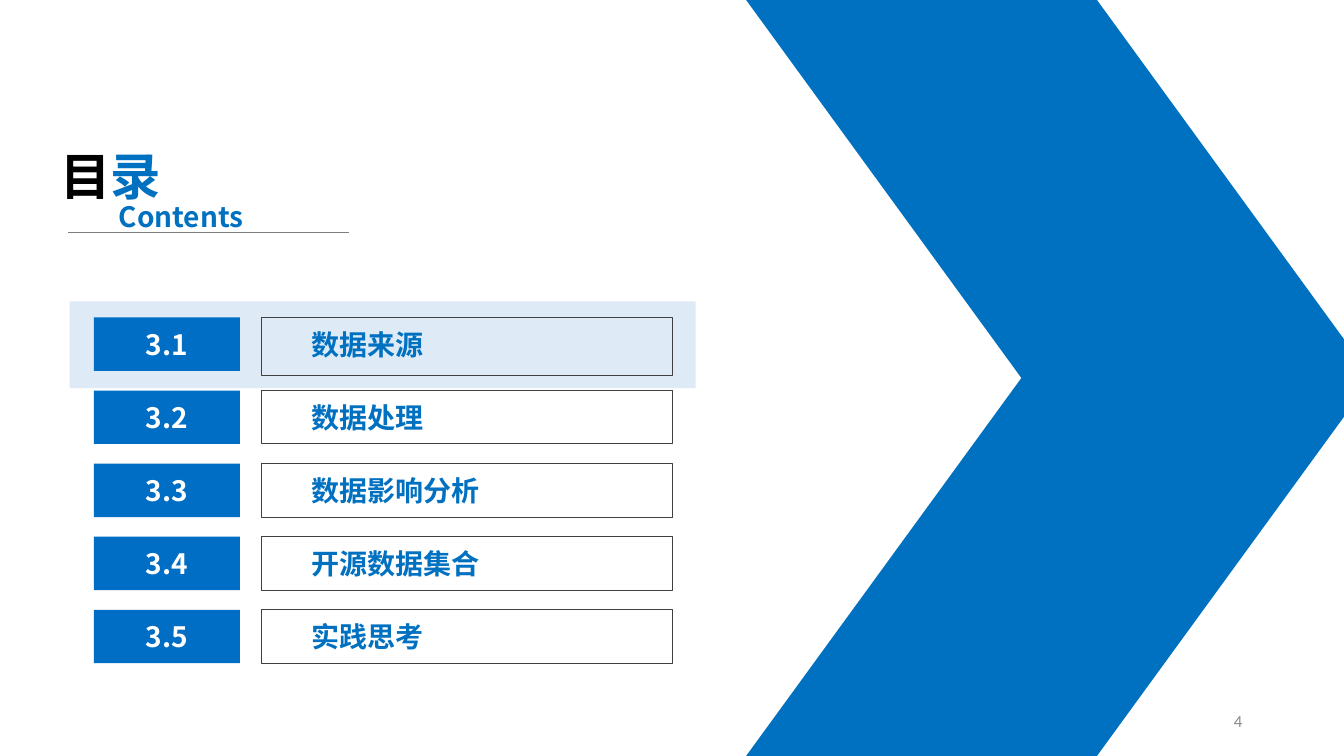
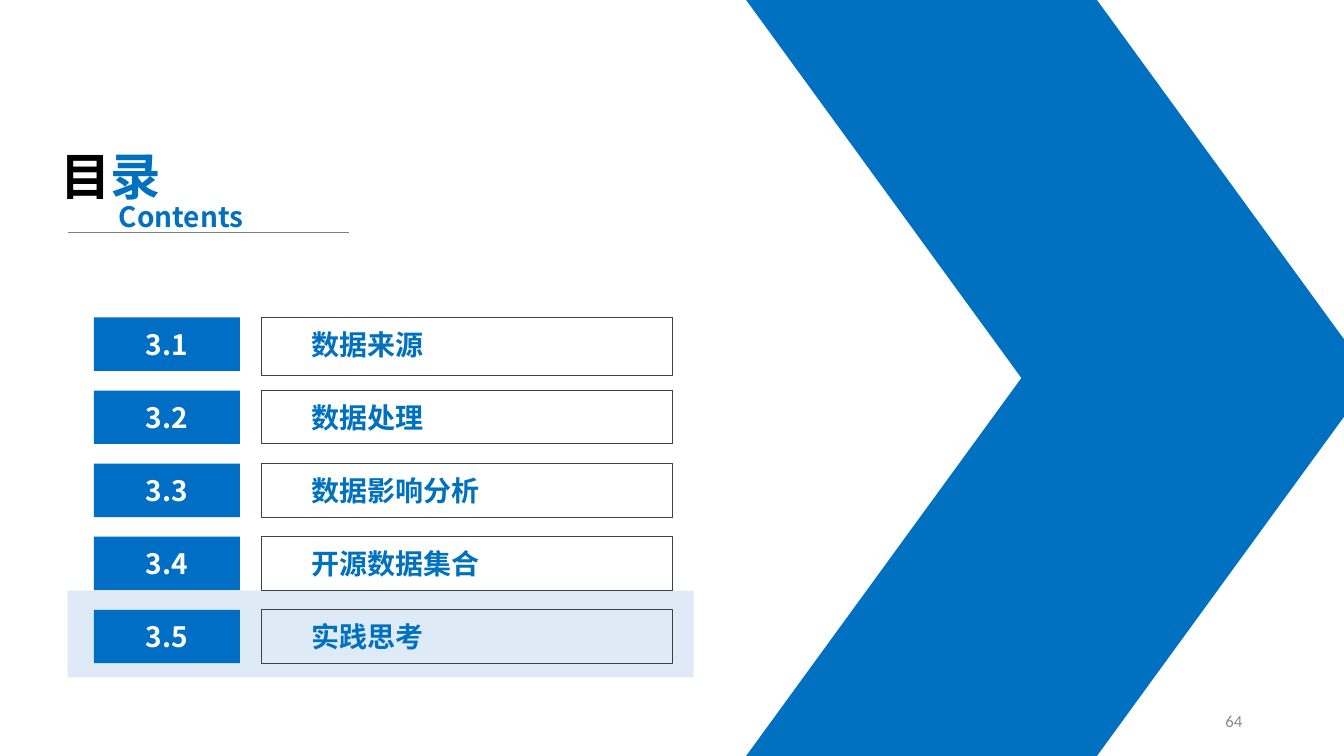
from lxml.etree import SubElement
from pptx import Presentation
from pptx.dml.color import RGBColor
from pptx.enum.shapes import MSO_CONNECTOR, MSO_SHAPE
from pptx.enum.text import MSO_ANCHOR, MSO_AUTO_SIZE, PP_ALIGN
from pptx.oxml.ns import qn
from pptx.util import Inches, Pt

COLORS = {
    "blue": "0070C0",
    "number": "006EC5",
    "highlight": "DEEBF7",
    "outline": "404040",
    "rule": "7F7F7F",
    "page": "898989",
    "black": "000000",
    "white": "FFFFFF",
}
HEADING_FONT = "Noto Sans CJK SC"
PAGE_FONT = "Calibri"
SLIDE_WIDTH, SLIDE_HEIGHT = 13.33, 7.5

SECTIONS = ["数据来源", "数据处理", "数据影响分析", "开源数据集合", "实践思考"]
CHAPTER = 3
LIST_BOX = (0.93, 3.15, 5.74, 3.43)
ROW_HEIGHT = 0.53
FIRST_LABEL_HEIGHT = 0.58
NUMBER_WIDTH = 1.45
LABEL_WIDTH = 4.08

# page number and box of the highlight bar
CONTENTS_SLIDES = [
    ("4", (0.69, 2.99, 6.21, 0.86)),
    ("64", (0.67, 5.86, 6.21, 0.86)),
]


def color(name):
    return RGBColor.from_string(COLORS[name])


def inches(box):
    return [Inches(length) for length in box]


def add_run(paragraph, text, size, color_name, font=HEADING_FONT, bold=True):
    run = paragraph.add_run()
    run.text = text
    run.font.size = Pt(size)
    run.font.bold = bold
    run.font.color.rgb = color(color_name)
    run.font.name = font
    SubElement(run._r.get_or_add_rPr(), qn("a:ea")).set("typeface", font)


def prepare_text(shape, align=PP_ALIGN.LEFT):
    """Centre the text vertically and return the first paragraph."""
    frame = shape.text_frame
    frame.word_wrap = True
    frame.auto_size = MSO_AUTO_SIZE.NONE
    frame.vertical_anchor = MSO_ANCHOR.MIDDLE
    frame.margin_left = frame.margin_right = Inches(0.1)
    frame.margin_top = frame.margin_bottom = 0
    paragraph = frame.paragraphs[0]
    paragraph.alignment = align
    return paragraph


def add_panel(slide, box, fill=None, line=None, kind=MSO_SHAPE.RECTANGLE):
    shape = slide.shapes.add_shape(kind, *inches(box))
    shape.shadow.inherit = False
    if fill:
        shape.fill.solid()
        shape.fill.fore_color.rgb = color(fill)
    else:
        shape.fill.background()
    if line:
        shape.line.color.rgb = color(line)
        shape.line.width = Pt(0.75)
    else:
        shape.line.fill.background()
    return shape


def add_arrow_band(slide, box):
    """Two mirrored parallelograms that form a large arrow."""
    left, top, width, height = box
    half = height / 2
    for row in (1, 0):
        part = add_panel(slide, (left, top + row * half, width, half),
                         fill="blue", kind=MSO_SHAPE.PARALLELOGRAM)
        part.adjustments[0] = 0.728
        if row == 0:
            part._element.spPr.find(qn("a:xfrm")).set("flipV", "1")


def add_heading(slide, box):
    left, top, width, height = box
    title = slide.shapes.title
    title.left, title.top, title.width, title.height = inches(
        (left, top, 1.57, 0.71))
    paragraph = prepare_text(title)
    add_run(paragraph, "目", 36, "black")
    add_run(paragraph, "录", 36, "blue")

    subtitle = slide.shapes.add_textbox(
        *inches((left + 0.58, top + 0.55, 1.57, 0.44)))
    add_run(prepare_text(subtitle), "Contents", 20, "blue")

    bottom = top + height
    rule = slide.shapes.add_connector(
        MSO_CONNECTOR.STRAIGHT,
        *inches((left + 0.17, bottom, left + width, bottom)))
    rule.line.color.rgb = color("rule")
    rule.line.width = Pt(0.5)
    SubElement(rule._element.spPr, qn("a:effectLst"))


def add_section_list(slide, box):
    left, top, width, height = box
    pitch = (height - ROW_HEIGHT) / (len(SECTIONS) - 1)
    for index, section in enumerate(SECTIONS):
        row_top = top + index * pitch
        label_height = ROW_HEIGHT if index else FIRST_LABEL_HEIGHT
        label = add_panel(
            slide,
            (left + width - LABEL_WIDTH, row_top, LABEL_WIDTH, label_height),
            line="outline")
        add_run(prepare_text(label), section, 20, "blue")
        label.text_frame.margin_left = Inches(0.5)
        label.text_frame.margin_bottom = Inches(label_height - ROW_HEIGHT)

        number = add_panel(slide, (left, row_top, NUMBER_WIDTH, ROW_HEIGHT),
                           fill="number")
        add_run(prepare_text(number, PP_ALIGN.CENTER),
                f"{CHAPTER}.{index + 1}", 20, "white")


def add_page_number(slide, text, box):
    page = slide.shapes.add_textbox(*inches(box))
    add_run(prepare_text(page, PP_ALIGN.RIGHT), text, 12, "page",
            font=PAGE_FONT, bold=False)


def add_contents_slide(presentation, page_number, highlight_box):
    slide = presentation.slides.add_slide(presentation.slide_layouts[5])
    add_panel(slide, highlight_box, fill="highlight")
    add_arrow_band(slide, (7.4, 0, 6.21, SLIDE_HEIGHT))
    add_heading(slide, (0.5, 1.38, 2.96, 0.93))
    add_section_list(slide, LIST_BOX)
    add_page_number(slide, page_number, (9.42, 6.95, 3, 0.4))


def main():
    presentation = Presentation()
    presentation.slide_width = Inches(SLIDE_WIDTH)
    presentation.slide_height = Inches(SLIDE_HEIGHT)
    for page_number, highlight_box in CONTENTS_SLIDES:
        add_contents_slide(presentation, page_number, highlight_box)
    presentation.save("out.pptx")


if __name__ == "__main__":
    main()
